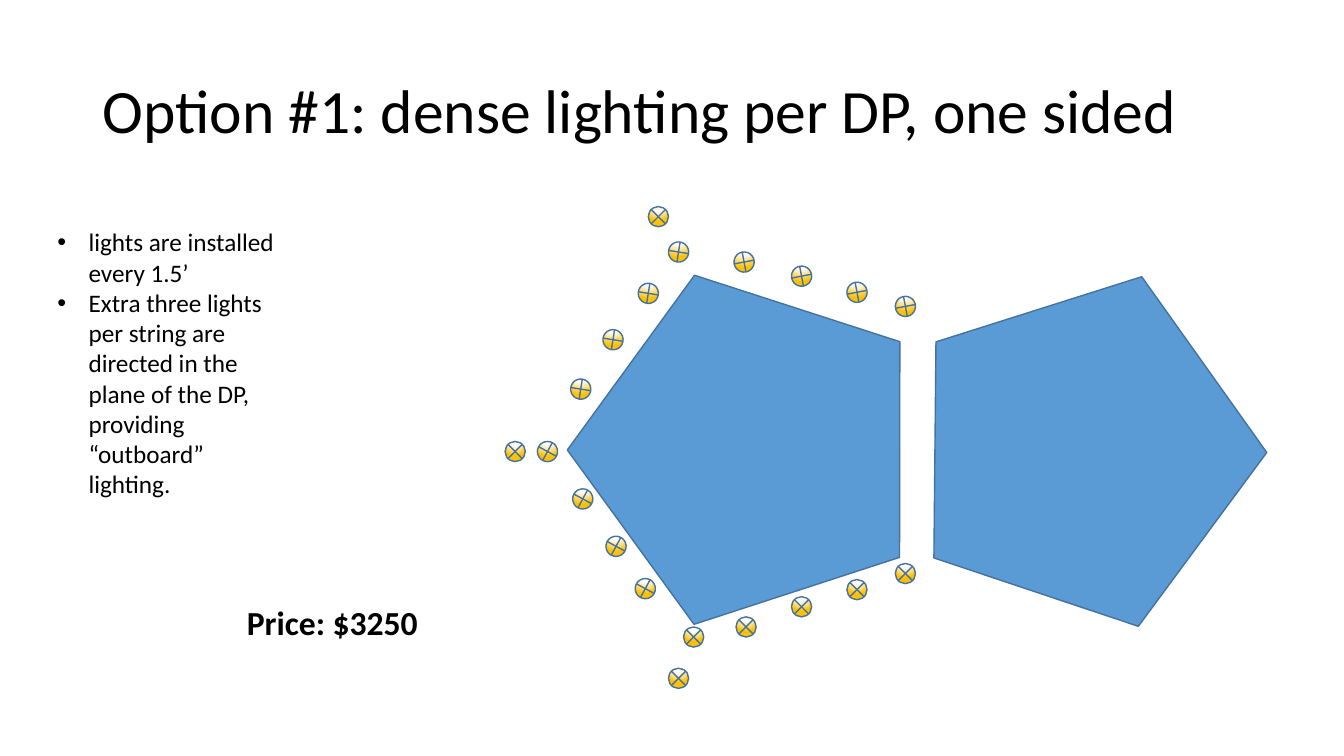
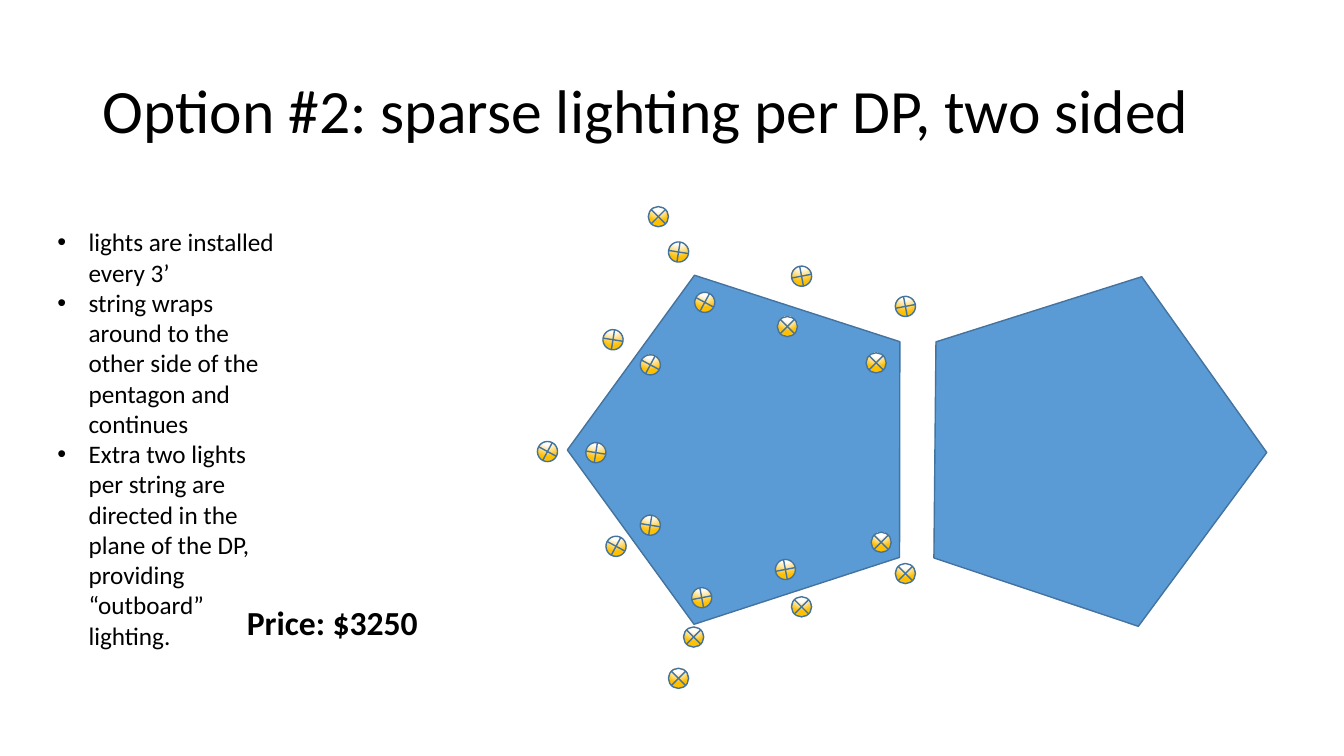
from pptx import Presentation
from pptx.dml.color import RGBColor
from pptx.enum.shapes import MSO_SHAPE
from pptx.enum.text import MSO_ANCHOR, MSO_AUTO_SIZE
from pptx.oxml import parse_xml
from pptx.oxml.ns import nsdecls, qn
from pptx.util import Emu, Pt

PENTAGON = MSO_SHAPE.REGULAR_PENTAGON
JUNCTION = MSO_SHAPE.FLOWCHART_SUMMING_JUNCTION
MIDDLE, TOP = MSO_ANCHOR.MIDDLE, MSO_ANCHOR.TOP
GROW, FIXED = MSO_AUTO_SIZE.SHAPE_TO_FIT_TEXT, MSO_AUTO_SIZE.NONE

# Scale: 100 px to the inch
PX = 9144
LIGHT_SIZE = 20
BULLET_INDENT = 31

COLORS = {"text": "000000", "panel": "5B9BD5", "outline": "43739E",
          "glow": "FFFFFF", "lamp": "FFC000"}
FONT = "Calibri"
TEXT_STYLES = {
    "title": {"font": {"size": Pt(44)},
              "para": {"line_spacing": 0.9},
              "frame": {"word_wrap": True, "auto_size": FIXED,
                        "vertical_anchor": MIDDLE}},
    "notes": {"font": {"size": Pt(18)},
              "para": {},
              "frame": {"word_wrap": True, "auto_size": GROW,
                        "vertical_anchor": TOP}},
    "price": {"font": {"size": Pt(24), "bold": True},
              "para": {},
              "frame": {"word_wrap": False, "auto_size": GROW,
                        "vertical_anchor": TOP}},
}

# Left, top, width, height and rotation of the two pentagons
PANELS = [(586, 271, 346, 330, 54), (907, 266, 346, 330, 18.5)]

# Left and top of each light, by rotation in degrees
SHARED_LIGHTS = {
    0: [(678, 622), (888, 559), (785, 592), (663, 663), (643, 205)],
    73.4: [(601, 532), (533, 438)],
    324.1: [(663, 240), (598, 327)],
    34.2: [(888, 294), (785, 264)],
}
DENSE_LIGHTS = {
    0: [(840, 575), (730, 612), (501, 438)],
    73.4: [(630, 574), (568, 485)],
    324.1: [(633, 281), (566, 376)],
    34.2: [(840, 280), (728, 250)],
}
SPARSE_LIGHTS = {
    0: [(864, 528), (859, 350), (771, 314)],
    73.4: [(689, 290), (635, 352)],
    324.1: [(635, 511), (581, 439)],
    34.2: [(769, 555), (686, 583)],
}

OPTIONS = [
    {"title": "Option #1: dense lighting per DP, one sided",
     "notes": ["lights are installed every 1.5’",
               "Extra three lights per string are directed in the plane of "
               "the DP, providing “outboard” lighting."],
     "notes_height": 313, "lights": DENSE_LIGHTS, "price": "Price: $3250"},
    {"title": "Option #2: sparse lighting per DP, two sided",
     "notes": ["lights are installed every 3’",
               "string wraps around to the other side of the pentagon and "
               "continues",
               "Extra two lights per string are directed in the plane of "
               "the DP, providing “outboard” lighting."],
     "notes_height": 434, "lights": SPARSE_LIGHTS, "price": "Price: $3250"},
]


def set_all(target, values):
    for name, value in values.items():
        setattr(target, name, value)


class LightingDeck:
    def __init__(self, width, height):
        self.deck = Presentation()
        set_all(self.deck, {"slide_width": Emu(width * PX),
                            "slide_height": Emu(height * PX)})
        self.slide = None

    def add_slide(self):
        self.slide = self.deck.slides.add_slide(self.deck.slide_layouts[6])

    def color(self, name):
        return RGBColor.from_string(COLORS[name])

    def text(self, style_name, lines, area, bulleted=False):
        style = TEXT_STYLES[style_name]
        box = self.slide.shapes.add_textbox(*(Emu(n * PX) for n in area))
        frame = box.text_frame
        set_all(frame, style["frame"])
        for index, line in enumerate(lines):
            para = frame.add_paragraph() if index else frame.paragraphs[0]
            set_all(para, style["para"])
            span = para.add_run()
            span.text = line
            set_all(span.font, {"name": FONT, **style["font"]})
            span.font.color.rgb = self.color("text")
            if bulleted:
                self.bullet(para)

    def bullet(self, para):
        properties = para._p.get_or_add_pPr()
        properties.set("marL", str(BULLET_INDENT * PX))
        properties.set("indent", str(-BULLET_INDENT * PX))
        for tag in ('a:buFont {} typeface="Arial"', 'a:buChar {} char="•"'):
            properties.append(parse_xml(f"<{tag.format(nsdecls('a'))}/>"))

    def outlined(self, kind, area, rotation):
        shape = self.slide.shapes.add_shape(kind, *(Emu(n * PX) for n in area))
        shape.rotation = rotation
        shape.shadow.inherit = False
        shape.line.color.rgb = self.color("outline")
        shape.line.width = Pt(1)
        return shape

    def panel(self, left, top, width, height, rotation):
        shape = self.outlined(PENTAGON, (left, top, width, height), rotation)
        shape.fill.solid()
        shape.fill.fore_color.rgb = self.color("panel")

    def light(self, left, top, rotation):
        area = (left, top, LIGHT_SIZE, LIGHT_SIZE)
        shape = self.outlined(JUNCTION, area, rotation)
        shape.fill.gradient()
        # Radial glow centred above the light
        stops = "".join(
            f'<a:gs pos="{percent * 1000}"><a:srgbClr val="{COLORS[name]}"/></a:gs>'
            for percent, name in ((0, "glow"), (35, "glow"), (100, "lamp")))
        glow = parse_xml(
            f'<a:gradFill {nsdecls("a")} rotWithShape="1">'
            f'<a:gsLst>{stops}</a:gsLst><a:path path="circle">'
            '<a:fillToRect l="50000" t="-80000" r="50000" b="180000"/>'
            '</a:path></a:gradFill>')
        properties = shape._element.spPr
        properties.replace(properties.find(qn("a:gradFill")), glow)

    def lights(self, layout):
        for rotation, places in layout.items():
            for left, top in places:
                self.light(left, top, rotation)

    def option(self, title, notes, notes_height, lights, price):
        self.add_slide()
        self.text("title", [title], (92, 40, 1150, 145))
        # Panels and the lights around them
        for panel in PANELS:
            self.panel(*panel)
        self.lights(SHARED_LIGHTS)
        self.lights(lights)
        # Notes and price
        self.text("notes", notes, (47, 220, 235, notes_height), bulleted=True)
        self.text("price", [price], (235, 592, 191, 50))


def main():
    lighting = LightingDeck(1333, 750)
    for option in OPTIONS:
        lighting.option(**option)
    lighting.deck.save("out.pptx")


if __name__ == "__main__":
    main()
